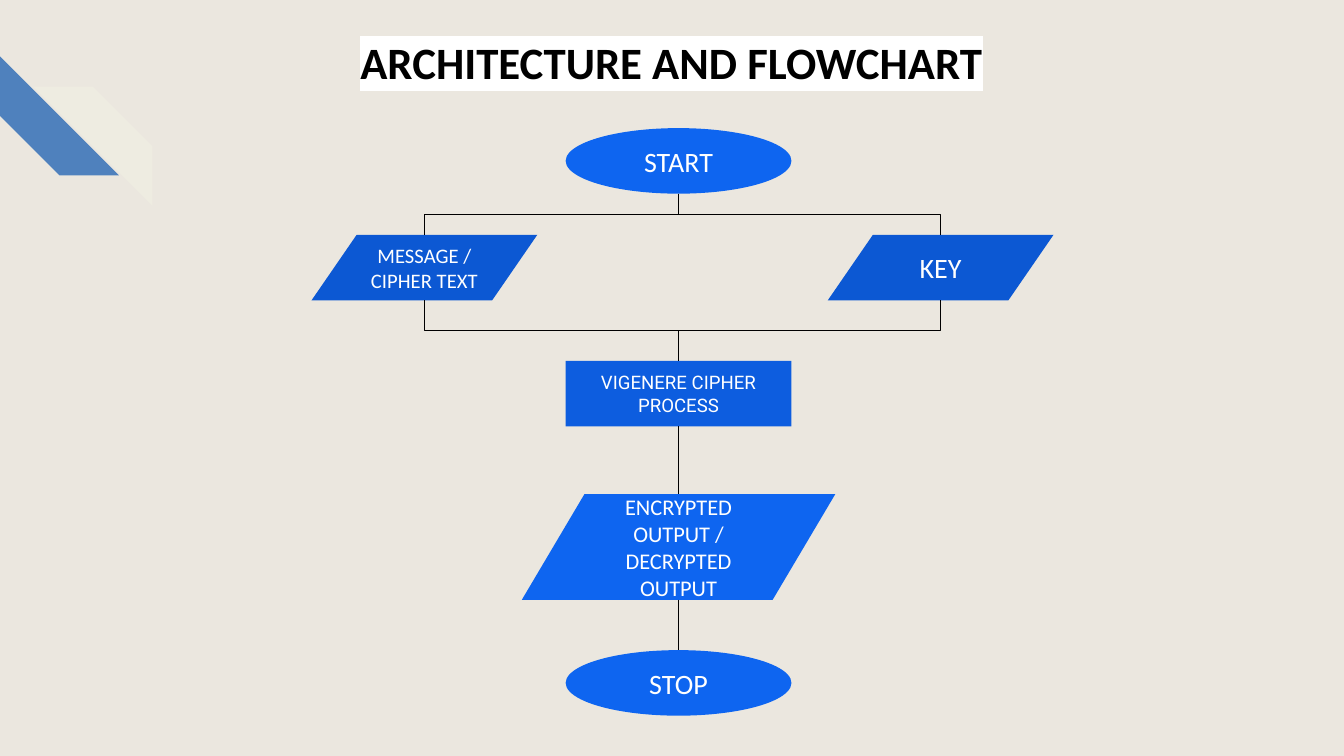
from lxml.etree import SubElement
from pptx import Presentation
from pptx.dml.color import RGBColor
from pptx.enum.shapes import MSO_CONNECTOR, MSO_SHAPE
from pptx.enum.text import MSO_ANCHOR, PP_ALIGN
from pptx.oxml.ns import qn
from pptx.util import Inches, Pt

# Lengths are percentages of the slide's width (x) and height (y)
SLIDE_WIDTH, SLIDE_HEIGHT = Inches(13.33), Inches(7.5)
LEFT_COLUMN, MIDDLE_COLUMN, RIGHT_COLUMN = 31.58, 50.49, 69.99
START_ROW, INPUT_ROW, PROCESS_ROW, OUTPUT_ROW, STOP_ROW = 16.95, 31.07, 47.73, 65.35, 86
NODE_SIZE = (16.8, 8.67)
OUTPUT_SIZE = (23.33, 14)
INSET = Inches(0.13)
TOP, BOTTOM = 0, 2

BLACK = RGBColor(0x00, 0x00, 0x00)
WHITE = RGBColor(0xFF, 0xFF, 0xFF)
SAND = RGBColor(0xEB, 0xE7, 0xDF)
CREAM = RGBColor(0xEE, 0xEC, 0xE1)
STEEL = RGBColor(0x4F, 0x81, 0xBD)
BRIGHT_BLUE = RGBColor(0x0E, 0x65, 0xF0)
INPUT_BLUE = RGBColor(0x0C, 0x58, 0xD3)
PROCESS_BLUE = RGBColor(0x0D, 0x5D, 0xDF)


def share_x(percent):
    return round(SLIDE_WIDTH * percent / 100)


def share_y(percent):
    return round(SLIDE_HEIGHT * percent / 100)


def set_text(shape, text, size, color, font_name="Calibri"):
    """Write one centred line of text and return its run."""
    frame = shape.text_frame
    frame.text = text
    frame.word_wrap = True
    frame.margin_left = frame.margin_right = INSET
    frame.margin_top = frame.margin_bottom = INSET
    para = frame.paragraphs[0]
    para.alignment = PP_ALIGN.CENTER
    span = para.runs[0]
    span.font.size = Pt(size)
    span.font.name = font_name
    span.font.color.rgb = color
    return span


def add_filled(page, kind, left, top, width, height, color):
    shape = page.shapes.add_shape(kind, left, top, width, height)
    shape.shadow.inherit = False
    shape.fill.solid()
    shape.fill.fore_color.rgb = color
    shape.line.fill.background()
    return shape


def add_stripe(page, left, top, rotation, color):
    side = share_y(15.73)
    stripe = add_filled(page, MSO_SHAPE.DIAGONAL_STRIPE, share_x(left), share_y(top),
                        side, side, color)
    stripe.rotation = rotation


def add_title(page, text):
    title = page.shapes.title
    title.left, title.top = share_x(11.48), share_y(2.8)
    title.width, title.height = share_x(76.97), share_y(13.33)
    span = set_text(title, text, 32, BLACK)
    title.text_frame.vertical_anchor = MSO_ANCHOR.TOP
    span.font.bold = True
    properties = span.font._element
    highlight = SubElement(properties, qn("a:highlight"))
    SubElement(highlight, qn("a:srgbClr")).set("val", str(WHITE))
    properties.find(qn("a:solidFill")).addnext(highlight)


def add_node(page, kind, center, top, text, text_size, color,
             size=NODE_SIZE, font_name="Calibri"):
    width, height = size
    node = add_filled(page, kind, share_x(center - width / 2), share_y(top),
                      share_x(width), share_y(height), color)
    set_text(node, text, text_size, WHITE, font_name)
    node.text_frame.vertical_anchor = MSO_ANCHOR.MIDDLE
    return node


def add_link(page, upper, lower):
    """Join the bottom of one node to the top of a lower one."""
    begin_x, begin_y = upper.left + upper.width // 2, upper.top + upper.height
    end_x, end_y = lower.left + lower.width // 2, lower.top
    straight = abs(end_x - begin_x) < Inches(0.02)
    kind = MSO_CONNECTOR.STRAIGHT if straight else MSO_CONNECTOR.ELBOW
    link = page.shapes.add_connector(kind, begin_x, begin_y, end_x, end_y)
    link.line.color.rgb = BLACK
    link.line.width = Pt(0.75)
    SubElement(link._element.spPr, qn("a:effectLst"))
    if upper.auto_shape_type == MSO_SHAPE.RECTANGLE:
        link.begin_connect(upper, BOTTOM)
    if lower.auto_shape_type == MSO_SHAPE.RECTANGLE:
        link.end_connect(lower, TOP)
    if not straight:
        # A quarter turn makes the elbow leave and arrive vertically
        drop, shift = end_y - begin_y, abs(end_x - begin_x)
        link.left = (begin_x + end_x - drop) // 2
        link.top = (begin_y + end_y - shift) // 2
        link.width, link.height = drop, shift
        transform = link._element.spPr.find(qn("a:xfrm"))
        transform.set("rot", str(90 * 60000))
        transform.set("flipH", "0")
        transform.set("flipV", "1" if end_x > begin_x else "0")


def main():
    deck = Presentation()
    deck.slide_width, deck.slide_height = SLIDE_WIDTH, SLIDE_HEIGHT
    page = deck.slides.add_slide(deck.slide_layouts[5])

    # Background, corner stripes and title
    page.background.fill.solid()
    page.background.fill.fore_color.rgb = SAND
    add_stripe(page, 0, 7.47, 270, STEEL)
    add_stripe(page, 2.48, 11.47, 90, CREAM)
    add_title(page, "ARCHITECTURE AND FLOWCHART")

    # Flowchart nodes
    start = add_node(page, MSO_SHAPE.FLOWCHART_CONNECTOR, MIDDLE_COLUMN, START_ROW,
                     "START", 20, BRIGHT_BLUE)
    key = add_node(page, MSO_SHAPE.FLOWCHART_DATA, RIGHT_COLUMN, INPUT_ROW,
                   "KEY", 20, INPUT_BLUE)
    message = add_node(page, MSO_SHAPE.FLOWCHART_DATA, LEFT_COLUMN, INPUT_ROW,
                       "MESSAGE / CIPHER TEXT", 14.7, INPUT_BLUE)
    process = add_node(page, MSO_SHAPE.RECTANGLE, MIDDLE_COLUMN, PROCESS_ROW,
                       "VIGENERE CIPHER PROCESS", 13.3, PROCESS_BLUE, font_name="Roboto")
    output = add_node(page, MSO_SHAPE.FLOWCHART_DATA, MIDDLE_COLUMN, OUTPUT_ROW,
                      "ENCRYPTED OUTPUT / DECRYPTED OUTPUT", 16, BRIGHT_BLUE, OUTPUT_SIZE)
    stop = add_node(page, MSO_SHAPE.FLOWCHART_CONNECTOR, MIDDLE_COLUMN, STOP_ROW,
                    "STOP", 20, BRIGHT_BLUE)

    # Links from top to bottom
    for entry in (message, key):
        add_link(page, start, entry)
        add_link(page, entry, process)
    add_link(page, process, output)
    add_link(page, output, stop)

    deck.save("out.pptx")


if __name__ == "__main__":
    main()
